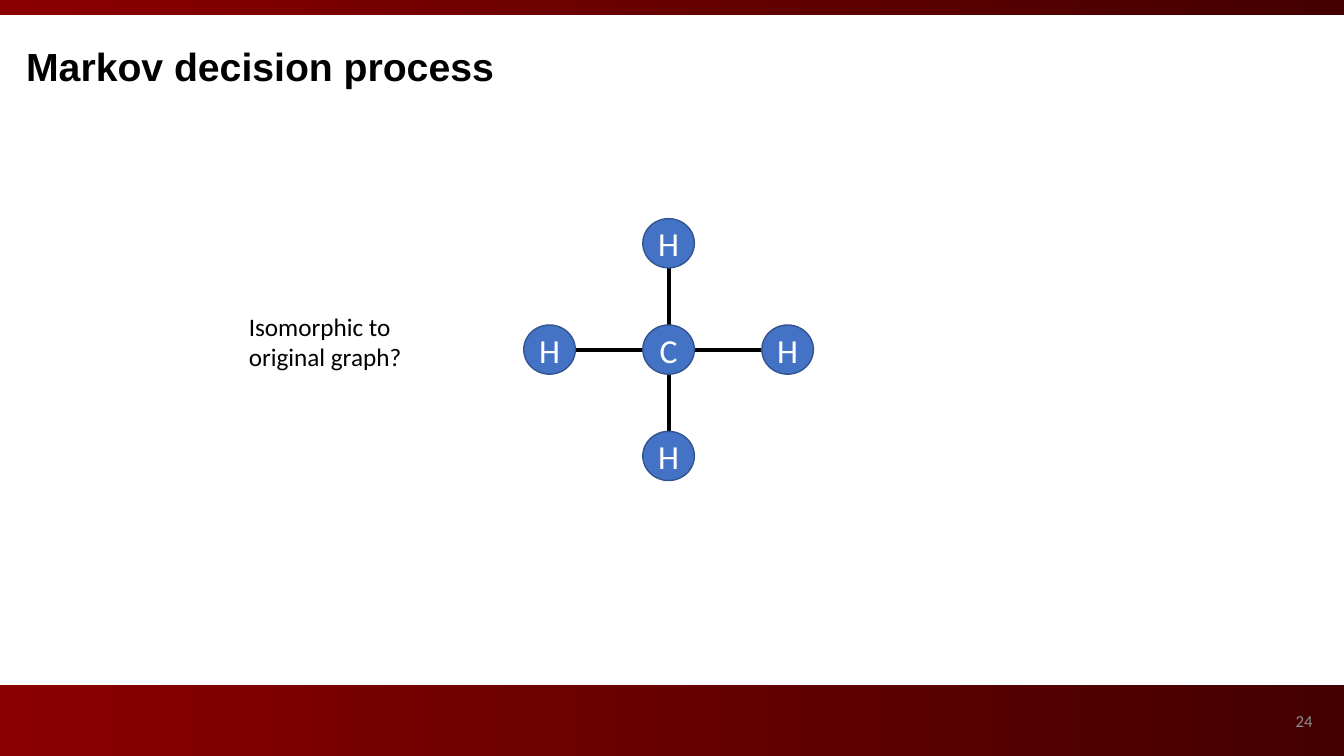
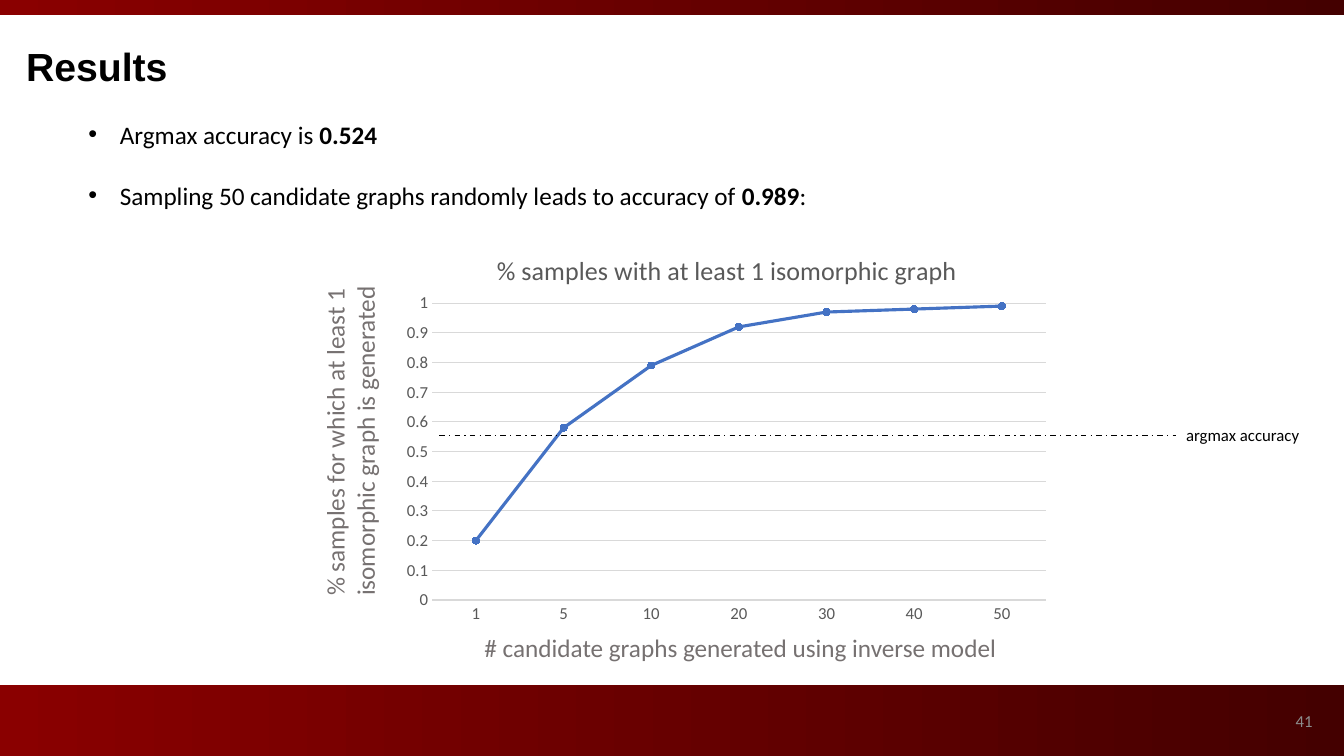
from dataclasses import dataclass

from lxml import etree
from pptx import Presentation
from pptx.chart.data import CategoryChartData
from pptx.dml.color import RGBColor
from pptx.enum.chart import XL_CHART_TYPE, XL_MARKER_STYLE, XL_TICK_MARK
from pptx.enum.dml import MSO_LINE
from pptx.enum.shapes import MSO_CONNECTOR, MSO_SHAPE
from pptx.enum.text import MSO_ANCHOR, PP_ALIGN
from pptx.oxml import parse_xml
from pptx.oxml.ns import nsdecls, qn
from pptx.util import Cm, Pt

LINE = MSO_CONNECTOR.STRAIGHT
RECT, OVAL = MSO_SHAPE.RECTANGLE, MSO_SHAPE.OVAL
LEFT, RIGHT, MID = PP_ALIGN.LEFT, PP_ALIGN.RIGHT, PP_ALIGN.CENTER
TOP, MIDDLE = MSO_ANCHOR.TOP, MSO_ANCHOR.MIDDLE
CHART, DOT = XL_CHART_TYPE.LINE_MARKERS, XL_MARKER_STYLE.CIRCLE
DASH, NONE = MSO_LINE.DASH_DOT, XL_TICK_MARK.NONE

WIDE, HIGH = 33.87, 19.05
BODY, HEAD = "Calibri", "Arial"
HEX = {
    "black": "000000", "white": "FFFFFF", "blue": "4472C4", "rim": "325491",
    "red": "8A0000", "dark": "440000", "page": "8C8C8C", "axis": "595959",
    "label": "767171", "grid": "D9D9D9",
}


@dataclass(frozen=True)
class Box:
    """A rectangle in centimetres."""
    x: float
    y: float
    w: float
    h: float

    def cm(self) -> tuple:
        return Cm(self.x), Cm(self.y), Cm(self.w), Cm(self.h)


@dataclass(frozen=True)
class Style:
    size: float = 18
    color: str = "black"
    font: str = BODY
    bold: bool = False
    align: PP_ALIGN = LEFT
    anchor: MSO_ANCHOR = TOP


@dataclass(frozen=True)
class Atom:
    """A letter and its place in steps from the middle atom."""
    name: str
    col: int
    row: int


TITLE = Style(28, font=HEAD, bold=True)
PAGE = Style(12, "page", align=RIGHT, anchor=MIDDLE)
SIGN = Style(24, "white", align=MID, anchor=MIDDLE)
PLAIN, AXIS, NOTE = Style(), Style(color="label"), Style(12)

BANDS = (Box(0, 17.27, WIDE, 1.78), Box(0, 0, WIDE, 0.38))
CORE = Atom("C", 0, 0)
RING = [Atom("H", *at) for at in ((0, -1), (-1, 0), (1, 0), (0, 1))]
SCORES = {"1": 0.2, "5": 0.58, "10": 0.79, "20": 0.92,
          "30": 0.97, "40": 0.98, "50": 0.99}


def rgb(name: str) -> RGBColor:
    return RGBColor.from_string(HEX[name])


def set_font(font, style: Style) -> None:
    font.name, font.size, font.bold = style.font, Pt(style.size), style.bold
    font.color.rgb = rgb(style.color)


def add_run(para, text: str, style: Style, bold: bool = False) -> None:
    run = para.add_run()
    run.text = text
    set_font(run.font, style)
    run.font.bold = style.bold or bold


def add_text(slide, box: Box, text: str, style: Style, turn: float = 0):
    shape = slide.shapes.add_textbox(*box.cm())
    shape.rotation = turn
    frame = shape.text_frame
    frame.word_wrap, frame.vertical_anchor = True, style.anchor
    para = frame.paragraphs[0]
    para.alignment = style.align
    add_run(para, text, style)
    return shape


def add_list(slide, box: Box, items: list) -> None:
    """Draw bullets; each item is a list of (text, bold) pairs."""
    frame = slide.shapes.add_textbox(*box.cm()).text_frame
    frame.word_wrap = True
    for i, item in enumerate(items):
        para = frame.add_paragraph() if i else frame.paragraphs[0]
        props = para._p.get_or_add_pPr()
        props.set("marL", str(Cm(0.79)))
        props.set("indent", str(-Cm(0.79)))
        etree.SubElement(props, qn("a:buFont")).set("typeface", HEAD)
        etree.SubElement(props, qn("a:buChar")).set("char", "•")
        if i:
            para.space_before = Pt(22)
        for text, bold in item:
            add_run(para, text, PLAIN, bold)


def add_line(slide, start: tuple, end: tuple, width: float):
    line = slide.shapes.add_connector(LINE, *map(Cm, start + end))
    line.line.color.rgb, line.line.width = rgb("black"), Pt(width)
    etree.SubElement(line._element.spPr, qn("a:effectLst"))
    return line


def add_band(slide, box: Box) -> None:
    band = slide.shapes.add_shape(RECT, *box.cm())
    band.shadow.inherit = False
    band.line.fill.background()
    band.fill.gradient()
    band.fill.gradient_angle = 0
    for stop, spot, name in zip(band.fill.gradient_stops, (0, 1), ("red", "dark")):
        stop.position, stop.color.rgb = spot, rgb(name)


def add_slide(deck, title: str, page: str):
    """Add a slide with bands, page number and title."""
    slide = deck.slides.add_slide(deck.slide_layouts[6])
    for box in BANDS:
        add_band(slide, box)
    add_text(slide, Box(25.71, 17.65, 7.62, 1.02), page, PAGE)
    add_text(slide, Box(0.41, 0.94, 28.45, 1.45), title, TITLE)
    return slide


def place(atom: Atom) -> tuple:
    return 16.85 + 3 * atom.col, 8.81 + 2.68 * atom.row


def add_atom(slide, atom: Atom) -> None:
    (x, y), w, h = place(atom), 1.3, 1.24
    ball = slide.shapes.add_shape(OVAL, *Box(x - w / 2, y - h / 2, w, h).cm())
    ball.shadow.inherit = False
    ball.fill.solid()
    ball.fill.fore_color.rgb = rgb("blue")
    ball.line.color.rgb, ball.line.width = rgb("rim"), Pt(1)
    frame = ball.text_frame
    frame.margin_left = frame.margin_right = 0
    frame.margin_top = frame.margin_bottom = 0
    frame.word_wrap, frame.vertical_anchor = False, SIGN.anchor
    para = frame.paragraphs[0]
    para.alignment = SIGN.align
    add_run(para, atom.name, SIGN)


def set_layout(part, after: str, inner: bool = False, **spots: float) -> None:
    """Fix where a chart part lies, as shares of the chart."""
    for old in part.findall(qn("c:layout")):
        part.remove(old)
    goal = '<c:layoutTarget val="inner"/>' if inner else ""
    modes = "".join(f'<c:{k}Mode val="edge"/>' for k in "xy")
    sizes = "".join(f'<c:{k} val="{v}"/>' for k, v in spots.items())
    layout = parse_xml(f'<c:layout {nsdecls("c")}><c:manualLayout>{goal}{modes}'
                       f'{sizes}</c:manualLayout></c:layout>')
    prior = part.find(qn(after)) if after else None
    part.insert(0 if prior is None else part.index(prior) + 1, layout)


def add_graph(slide, box: Box, title: str) -> None:
    data = CategoryChartData()
    data.categories = list(SCORES)
    data.add_series("Series 1", list(SCORES.values()))
    chart = slide.shapes.add_chart(CHART, *box.cm(), data).chart
    set_font(chart.font, Style(10))
    chart.has_legend = False
    chart.has_title = True
    add_run(chart.chart_title.text_frame.paragraphs[0], title, Style(18.6, "axis"))
    chart.chart_title.include_in_layout = False
    set_layout(chart.chart_title._element, "c:tx", x=0.15, y=0.04)
    area = chart._chartSpace.chart.plotArea
    set_layout(area, "", inner=True, x=0.06, y=0.18, w=0.92, h=0.74)

    cats, vals = chart.category_axis, chart.value_axis
    for axis in (cats, vals):
        axis.major_tick_mark = axis.minor_tick_mark = NONE
        set_font(axis.tick_labels.font, Style(12, "axis"))
    vals.minimum_scale, vals.maximum_scale, vals.major_unit = 0, 1, 0.1
    vals.format.line.fill.background()
    vals.has_major_gridlines = True
    for line in (cats.format.line, vals.major_gridlines.format.line):
        line.color.rgb, line.width = rgb("grid"), Pt(0.75)

    plot = chart.plots[0]
    plot.vary_by_categories = False
    curve = plot.series[0]
    curve.smooth = False
    curve.format.line.color.rgb, curve.format.line.width = rgb("blue"), Pt(2.25)
    mark = curve.marker
    mark.style, mark.size = DOT, 5
    mark.format.fill.solid()
    mark.format.fill.fore_color.rgb = rgb("blue")
    mark.format.line.color.rgb = rgb("blue")


def draw_graph(deck) -> None:
    slide = add_slide(deck, "Markov decision process", "24")
    for atom in RING:
        add_line(slide, place(CORE), place(atom), 3)
    for atom in (CORE, *RING):
        add_atom(slide, atom)
    add_text(slide, Box(6.02, 7.72, 4.95, 1.8), "Isomorphic to original graph?", PLAIN)


def draw_scores(deck) -> None:
    slide = add_slide(deck, "Results", "41")
    add_list(slide, Box(1.98, 2.87, 22.73, 2.57), [
        [("Argmax accuracy is ", False), ("0.524", True)],
        [("Sampling 50 candidate graphs randomly leads to accuracy of ", False),
         ("0.989", True), (":", False)],
    ])
    add_graph(slide, Box(9.88, 5.82, 16.81, 10.11),
              "% samples with at least 1 isomorphic graph")
    add_text(slide, Box(11.96, 15.8, 13.46, 1.02),
             "# candidate graphs generated using inverse model", AXIS)
    add_text(slide, Box(3.4, 8.94, 10.85, 1.8),
             "% samples for which at least 1 isomorphic graph is generated", AXIS, 270)
    label = add_text(slide, Box(29.64, 10.59, 4.2, 0.76), "argmax accuracy", NOTE)
    line = add_line(slide, (11.07, 10.97), (29.64, 10.97), 1)
    line.line.dash_style = DASH
    line.end_connect(label, 1)


def main() -> None:
    deck = Presentation()
    deck.slide_width, deck.slide_height = Cm(WIDE), Cm(HIGH)
    draw_graph(deck)
    draw_scores(deck)
    deck.save("out.pptx")


if __name__ == "__main__":
    main()
